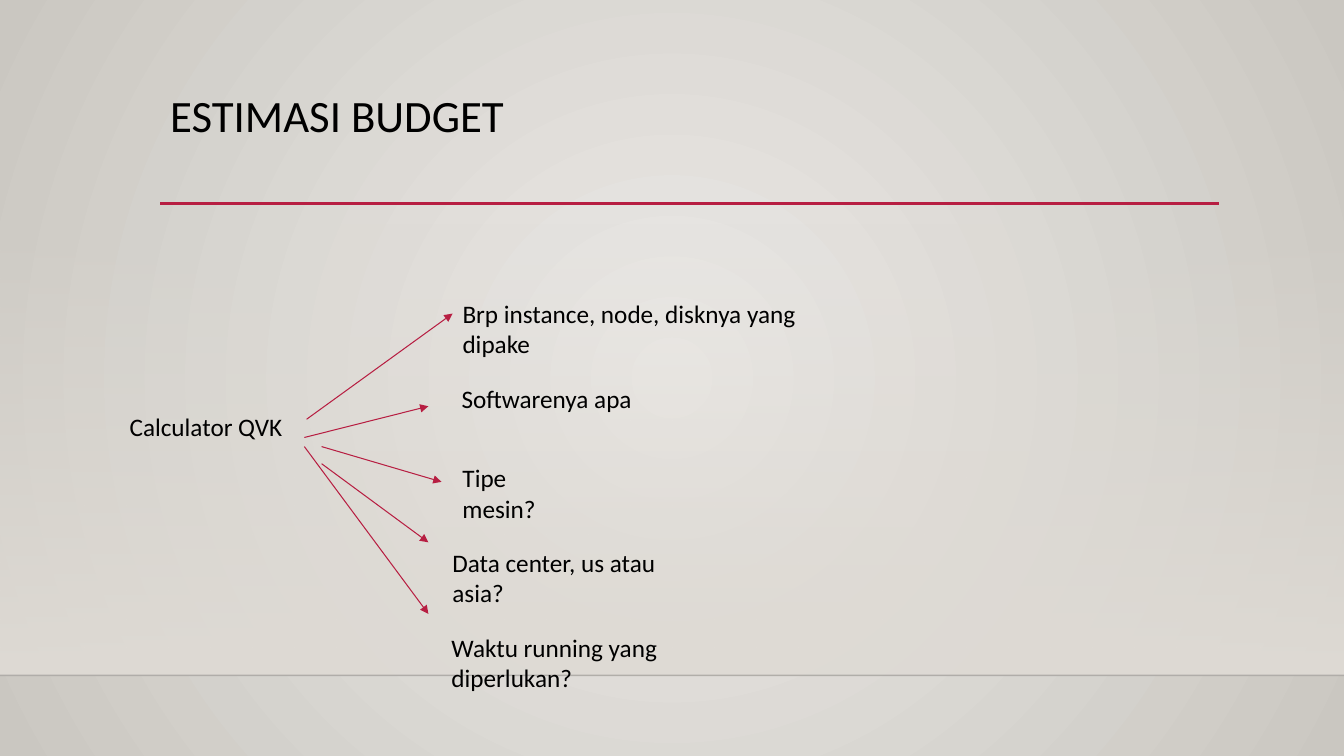
"""Build the budget estimate slide: one calculator fanning out to five questions."""
import pptx
import pptx.dml.color
import pptx.enum.shapes
import pptx.oxml
import pptx.oxml.ns
import pptx.util

Pt = pptx.util.Pt
RGB = pptx.dml.color.RGBColor
qn = pptx.oxml.ns.qn

BLACK = RGB(0x00, 0x00, 0x00)
FLOOR = RGB(0x00, 0x00, 0x01)
CRIMSON = RGB(0xB7, 0x1E, 0x42)
WALL = RGB(0xDF, 0xDB, 0xD5)
GLOW = RGB(0xEC, 0xEA, 0xE7)
EDGE = RGB(0xCA, 0xC7, 0xC1)
WIDTH, HEIGHT = 960, 540


class Board:
    font = "Calibri"

    def __init__(self, slide):
        self.slide = slide

    def add_xml(self, parent, tag, **attributes):
        child = parent.makeelement(qn(tag), attributes)
        parent.append(child)
        return child

    def set_alpha(self, element, percent):
        color = next(element.iter(qn("a:srgbClr")))
        self.add_xml(color, "a:alpha", val=str(percent * 1000))

    def blend(self, fill, start, end):
        fill.gradient()
        for stop, color in zip(fill.gradient_stops, (start, end)):
            stop.color.rgb = color

    def backdrop(self, center, edge):
        self.blend(self.slide.background.fill, center, edge)
        gradient = next(self.slide.element.iter(qn("a:gradFill")))
        gradient.remove(gradient.find(qn("a:lin")))
        circle = self.add_xml(gradient, "a:path", path="circle")
        self.add_xml(circle, "a:fillToRect", l="50000", t="50000", r="50000", b="50000")

    def fading_band(self, left, top, width, height, color):
        band = self.slide.shapes.add_shape(
            pptx.enum.shapes.MSO_SHAPE.RECTANGLE, Pt(left), Pt(top), Pt(width), Pt(height))
        band.shadow.inherit = False
        band.line.fill.background()
        self.blend(band.fill, color, color)
        band.fill.gradient_angle = 270
        self.set_alpha(band.element.spPr, 0)

    def line(self, start, end, color, weight, alpha=None, arrow=False):
        stroke = self.slide.shapes.add_connector(
            pptx.enum.shapes.MSO_CONNECTOR.STRAIGHT, *map(Pt, (*start, *end)))
        stroke.line.color.rgb = color
        stroke.line.width = Pt(weight)
        properties = stroke.element.spPr
        if alpha is not None:
            self.set_alpha(properties, alpha)
        if arrow:
            self.add_xml(properties.find(qn("a:ln")), "a:tailEnd", type="triangle")
        self.add_xml(properties, "a:effectLst")

    def text(self, words, left, top, width, height=29, size=18, spacing=1.0):
        box = self.slide.shapes.add_textbox(Pt(left), Pt(top), Pt(width), Pt(height))
        box.text_frame.word_wrap = True
        paragraph = box.text_frame.paragraphs[0]
        paragraph.text = words
        paragraph.line_spacing = spacing
        paragraph.font.name = self.font
        paragraph.font.size = Pt(size)
        paragraph.font.color.rgb = BLACK


def main():
    deck = pptx.Presentation()
    deck.slide_width, deck.slide_height = Pt(WIDTH), Pt(HEIGHT)
    board = Board(deck.slides.add_slide(deck.slide_layouts[6]))

    floor = 482.4
    board.backdrop(GLOW, EDGE)
    board.fading_band(0, 159, WIDTH, floor - 159, WALL)
    board.line((0, floor), (WIDTH, floor), FLOOR, 1, alpha=20)
    board.line((114.5, 145.4), (871, 145.4), CRIMSON, 2.5)

    board.text("ESTIMASI BUDGET", 114.5, 63.4, 756, 82.8, size=32, spacing=0.9)
    board.text("Calculator QVK", 85.5, 290.2, 132)

    questions = [
        ("Brp instance, node, disknya yang dipake", 323.3, 209.5, 300,
         (219, 299.5), (323.3, 224)),
        ("Softwarenya apa", 322.6, 270, 140, (217.4, 312.5), (306, 290.2)),
        ("Tipe mesin?", 323.3, 326.9, 100, (229.7, 319), (315.4, 344.2)),
        ("Data center, us atau asia?", 316.1, 387.4, 196, (229.7, 331.2), (306, 387.4)),
        ("Waktu running yang diperlukan?", 315.4, 447.8, 248, (217.4, 319), (306, 438.5)),
    ]
    for question, left, top, width, start, end in questions:
        board.text(question, left, top, width)
        board.line(start, end, CRIMSON, 0.75, arrow=True)

    deck.save("out.pptx")


if __name__ == "__main__":
    main()
